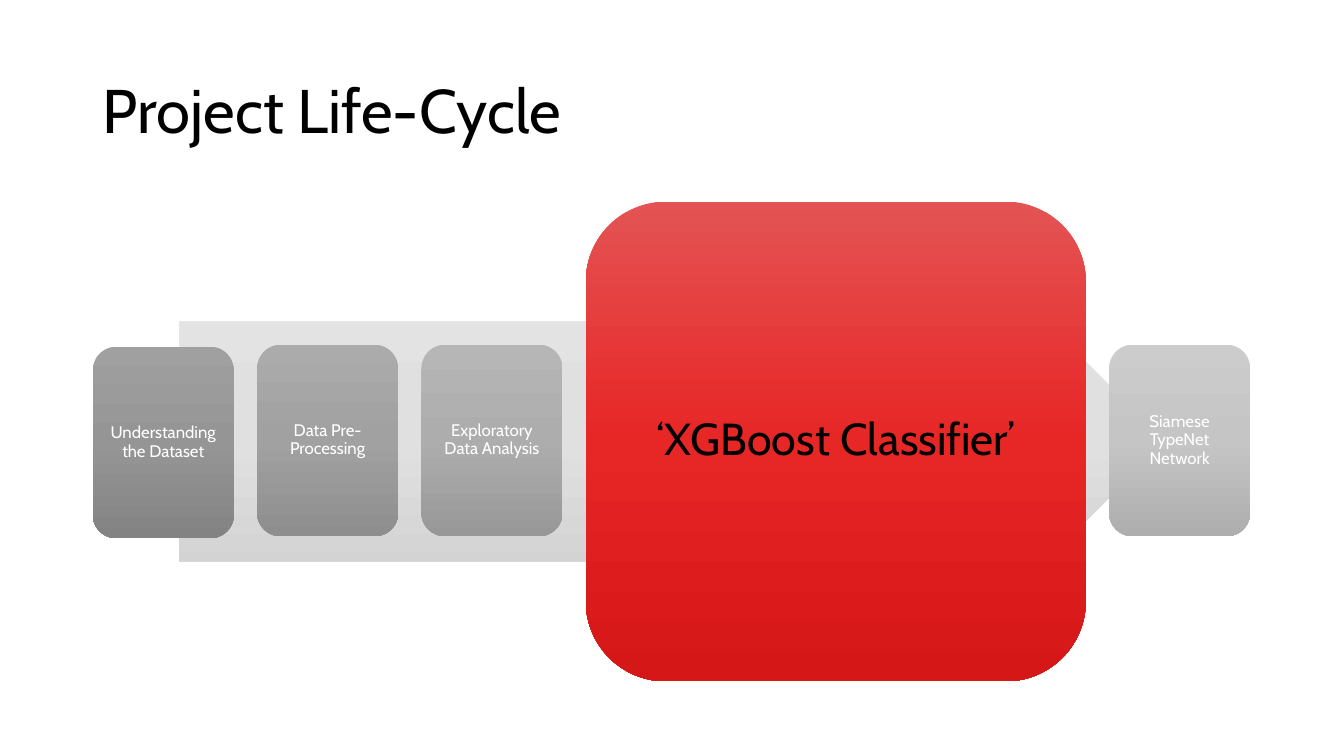
from copy import deepcopy
from dataclasses import dataclass

from pptx import Presentation
from pptx.dml.color import RGBColor
from pptx.enum.shapes import MSO_SHAPE
from pptx.enum.text import MSO_ANCHOR, PP_ALIGN
from pptx.oxml.ns import qn
from pptx.util import Inches, Pt

ARROW = MSO_SHAPE.RIGHT_ARROW
ROUNDED = MSO_SHAPE.ROUNDED_RECTANGLE
MIDDLE = MSO_ANCHOR.MIDDLE
LEFT, CENTER = PP_ALIGN.LEFT, PP_ALIGN.CENTER
TITLE_ONLY = 5


@dataclass(frozen=True)
class Theme:
    font: str = "Cabin"
    ink: str = "000000"
    paper: str = "FFFFFF"
    title_size: int = 44
    focus_size: int = 32
    step_size: int = 12
    arrow: tuple = ("E6E6E6", "E0E0E0", "C5C5C5")
    focus: tuple = ("E45353", "E72626", "D61717")


THEME = Theme()

# label, gradient from top to bottom, vertical centre
STEPS = [
    ("Understanding the Dataset", ("A0A0A0", "959595", "838383"), 4.39),
    ("Data Pre-Processing", ("ABABAB", "A1A1A1", "8E8E8E"), 4.37),
    ("Exploratory Data Analysis", ("B6B6B6", "ADADAD", "989898"), 4.37),
    ("‘XGBoost Classifier’", THEME.focus, 4.38),
    ("Siamese TypeNet Network", ("CCCCCC", "C5C5C5", "AEAEAE"), 4.37),
]
FIRST_LEFT, GAP = 0.92, 0.23
STEP_SIZE = (1.4, 1.9)
FOCUS_SIZE = (4.96, 4.76)


def place(shape, left, top, width, height):
    shape.left, shape.top = Inches(left), Inches(top)
    shape.width, shape.height = Inches(width), Inches(height)


def fill_gradient(shape, colors):
    """Fill with three evenly spaced colours running from top to bottom."""
    shape.fill.gradient()
    shape.fill.gradient_angle = 270
    stop_list = shape._element.spPr.find(qn("a:gradFill")).find(qn("a:gsLst"))
    stop_list.insert(1, deepcopy(stop_list[0]))
    for stop, color, position in zip(shape.fill.gradient_stops, colors, (0, 0.5, 1)):
        stop.color.rgb = RGBColor.from_string(color)
        stop.position = position


def write_text(shape, text, size, color, align):
    frame = shape.text_frame
    frame.word_wrap = True
    frame.vertical_anchor = MIDDLE
    frame.text = text
    para = frame.paragraphs[0]
    para.alignment = align
    para.line_spacing = 0.9
    para.font.name = THEME.font
    para.font.size = Pt(size)
    para.font.color.rgb = RGBColor.from_string(color)


def add_gradient_shape(page, kind, bounds, colors):
    shape = page.shapes.add_shape(kind, *map(Inches, bounds))
    shape.shadow.inherit = False
    shape.line.fill.background()
    fill_gradient(shape, colors)
    return shape


def add_step(page, text, colors, bounds, size, color, inset):
    card = add_gradient_shape(page, ROUNDED, bounds, colors)
    card.adjustments[0] = 0.167
    frame = card.text_frame
    frame.margin_left = frame.margin_right = Inches(inset)
    frame.margin_top = frame.margin_bottom = Inches(inset)
    write_text(card, text, size, color, CENTER)


def add_steps(page):
    """Lay the steps out left to right with equal gaps."""
    left = FIRST_LEFT
    for text, colors, middle in STEPS:
        if colors == THEME.focus:
            width, height = FOCUS_SIZE
            style = (THEME.focus_size, THEME.ink, 0.08)
        else:
            width, height = STEP_SIZE
            style = (THEME.step_size, THEME.paper, 0.05)
        bounds = (left, middle - height / 2, width, height)
        add_step(page, text, colors, bounds, *style)
        left += width + GAP


def main():
    deck = Presentation()
    deck.slide_width, deck.slide_height = Inches(13.33), Inches(7.5)
    page = deck.slides.add_slide(deck.slide_layouts[TITLE_ONLY])
    title = page.shapes.title
    place(title, 0.92, 0.4, 11.5, 1.45)
    write_text(title, "Project Life-Cycle", THEME.title_size, THEME.ink, LEFT)
    add_gradient_shape(page, ARROW, (1.78, 2, 9.78, 4.76), THEME.arrow)
    add_steps(page)
    deck.save("out.pptx")


if __name__ == "__main__":
    main()
